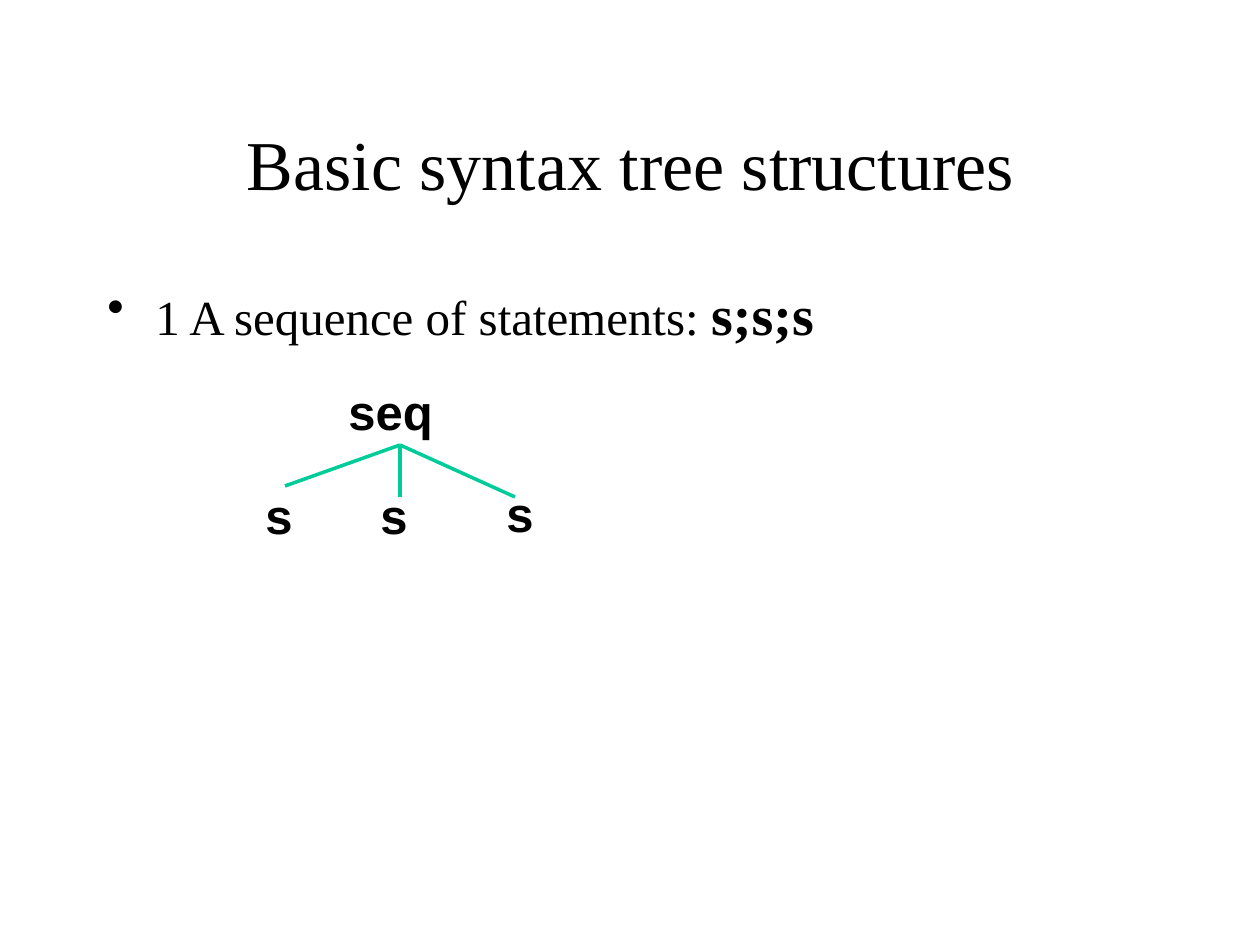
"""Build a slide showing the syntax tree of a statement sequence."""
from dataclasses import dataclass

from lxml.etree import SubElement
from pptx import Presentation
from pptx.dml.color import RGBColor
from pptx.enum.shapes import MSO_CONNECTOR
from pptx.enum.text import MSO_ANCHOR, PP_ALIGN
from pptx.oxml.ns import qn
from pptx.slide import Slide
from pptx.text.text import Font, TextFrame
from pptx.util import Emu, Pt

PIXELS_PER_INCH = 126


@dataclass(frozen=True)
class Theme:
    ink: RGBColor = RGBColor(0x00, 0x00, 0x00)
    branch: RGBColor = RGBColor(0x00, 0xCC, 0x99)
    serif: str = "Times New Roman"
    sans: str = "Arial"
    title_size: int = 40
    text_size: int = 28
    code_size: int = 32
    branch_width: int = 2


@dataclass(frozen=True)
class Box:
    left: int
    top: int
    width: int
    height: int


@dataclass(frozen=True)
class Node:
    text: str
    box: Box


@dataclass(frozen=True)
class Point:
    x: int
    y: int


THEME = Theme()
TITLE_BOX = Box(95, 84, 1071, 158)
BODY_BOX = Box(95, 273, 1071, 567)
BULLET_INDENT = 48
NODES = [
    Node("seq", Box(336, 382, 116, 66)),
    Node("s", Box(253, 486, 42, 66)),
    Node("s", Box(368, 486, 42, 66)),
    Node("s", Box(494, 484, 42, 66)),
]
ROOT = Point(400, 445)
BRANCH_ENDS = [Point(400, 497), Point(285, 486), Point(515, 497)]


def px(length: int) -> Emu:
    return Emu(round(length * 914400 / PIXELS_PER_INCH))


def style_font(font: Font, name: str, size: int, bold: bool = False) -> None:
    font.name = name
    font.size = Pt(size)
    font.bold = bold
    font.color.rgb = THEME.ink


def add_text_frame(slide: Slide, box: Box) -> TextFrame:
    shape = slide.shapes.add_textbox(px(box.left), px(box.top), px(box.width), px(box.height))
    shape.text_frame.word_wrap = True
    return shape.text_frame


def add_title(slide: Slide) -> None:
    frame = add_text_frame(slide, TITLE_BOX)
    frame.vertical_anchor = MSO_ANCHOR.MIDDLE
    paragraph = frame.paragraphs[0]
    paragraph.text = "Basic syntax tree structures"
    paragraph.alignment = PP_ALIGN.CENTER
    style_font(paragraph.font, THEME.serif, THEME.title_size)


def add_statement(slide: Slide) -> None:
    paragraph = add_text_frame(slide, BODY_BOX).paragraphs[0]
    properties = paragraph._p.get_or_add_pPr()
    properties.set("marL", str(px(BULLET_INDENT)))
    properties.set("indent", str(-px(BULLET_INDENT)))
    SubElement(properties, qn("a:buChar"), char="•")
    description = paragraph.add_run()
    description.text = "1 A sequence of statements: "
    style_font(description.font, THEME.serif, THEME.text_size)
    code = paragraph.add_run()
    code.text = "s;s;s"
    style_font(code.font, THEME.serif, THEME.code_size, bold=True)


def add_node(slide: Slide, node: Node) -> None:
    paragraph = add_text_frame(slide, node.box).paragraphs[0]
    paragraph.text = node.text
    paragraph.line_spacing = 0.9
    style_font(paragraph.font, THEME.sans, THEME.text_size, bold=True)


def add_branch(slide: Slide, start: Point, end: Point) -> None:
    connector = slide.shapes.add_connector(
        MSO_CONNECTOR.STRAIGHT, px(start.x), px(start.y), px(end.x), px(end.y)
    )
    connector.line.color.rgb = THEME.branch
    connector.line.width = Pt(THEME.branch_width)
    SubElement(connector._element.spPr, qn("a:effectLst"))


def main() -> None:
    presentation = Presentation()
    presentation.slide_width = px(1260)
    presentation.slide_height = px(945)
    slide = presentation.slides.add_slide(presentation.slide_layouts[6])
    add_title(slide)
    add_statement(slide)
    for node in NODES:
        add_node(slide, node)
    for end in BRANCH_ENDS:
        add_branch(slide, ROOT, end)
    presentation.save("out.pptx")


if __name__ == "__main__":
    main()
